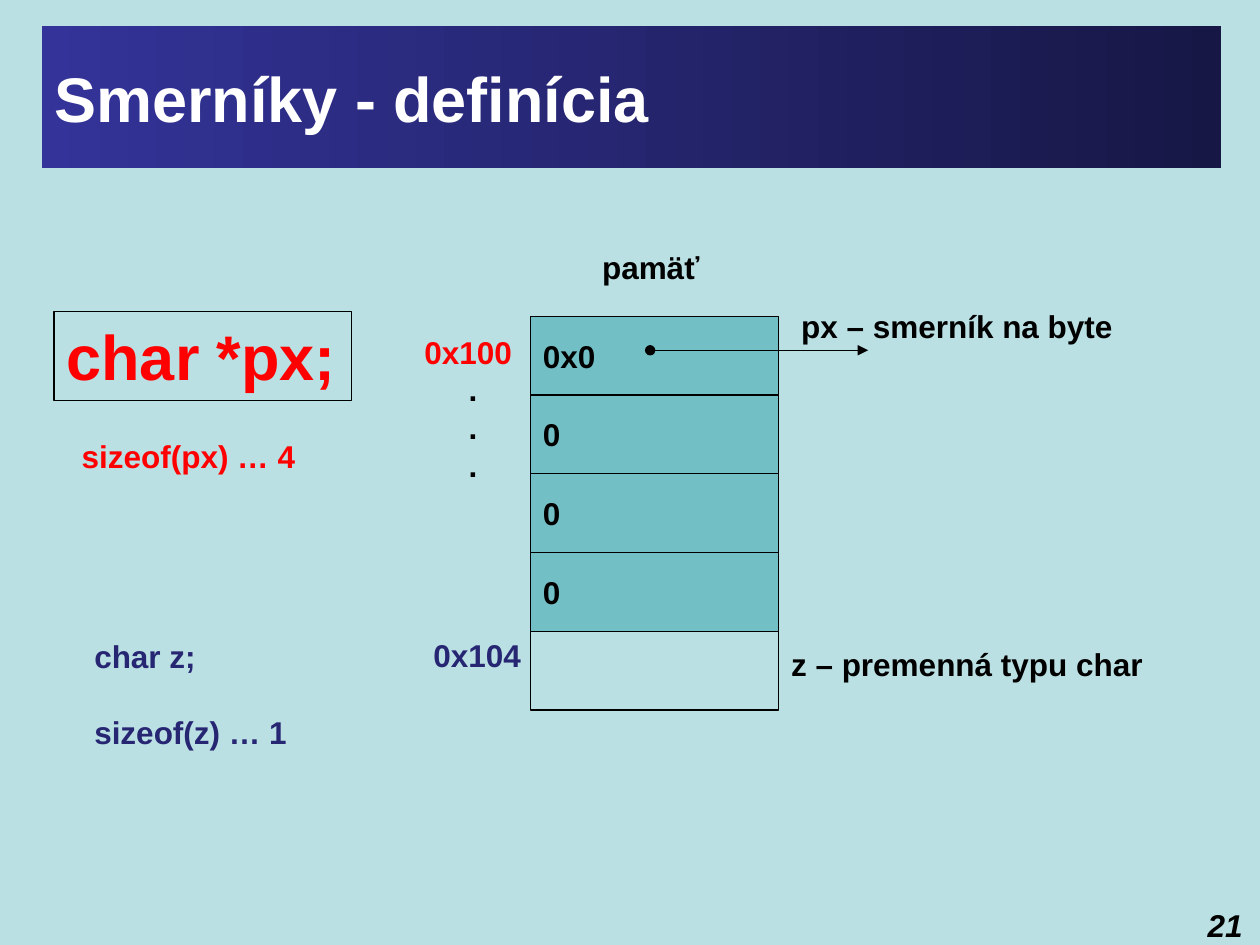
from dataclasses import dataclass

from lxml import etree
from pptx import Presentation, util as u
from pptx.dml.color import RGBColor
from pptx.enum import shapes, text
from pptx.oxml import ns

BLACK = RGBColor(0x00, 0x00, 0x00)
WHITE = RGBColor(0xFF, 0xFF, 0xFF)
RED = RGBColor(0xFF, 0x00, 0x00)
NAVY = RGBColor(0x26, 0x26, 0x73)
BAR_LEFT = RGBColor(0x33, 0x33, 0x99)
BAR_RIGHT = RGBColor(0x17, 0x17, 0x46)
PALE = RGBColor(0xBB, 0xE0, 0xE3)
TEAL = RGBColor(0x72, 0xBF, 0xC5)

CELL_LEFT, CELL_TOP, CELL_W, CELL_H = 4.21, 2.51, 1.97, 0.625
LINE_PT = 21.7  # height of one 18 pt line


@dataclass
class Line:
    text: str
    color: RGBColor = BLACK
    indent: float = 0
    skip: int = 0  # lines left free above


@dataclass
class Label:
    left: float
    top: float
    width: float
    height: float
    lines: list[Line]
    wrap: bool = False


def format_run(r, *, size: float = 18, color: RGBColor = BLACK, italic: bool = False) -> None:
    r.font.name = "Arial"
    r.font.size = u.Pt(size)
    r.font.bold = True
    r.font.italic = italic
    r.font.color.rgb = color


def add_line(p, line: Line, *, size: float = 18, italic: bool = False,
             align=text.PP_ALIGN.LEFT) -> None:
    p.alignment = align
    if line.skip:
        p.space_before = u.Pt(line.skip * LINE_PT)
    if line.indent:
        p._p.get_or_add_pPr().set("marL", str(u.Inches(line.indent)))
    r = p.add_run()
    r.text = line.text
    format_run(r, size=size, color=line.color, italic=italic)


def add_label(s, label: Label, **fmt):
    sp = s.shapes.add_textbox(u.Inches(label.left), u.Inches(label.top),
                              u.Inches(label.width), u.Inches(label.height))
    tf = sp.text_frame
    tf.word_wrap = label.wrap
    for i, line in enumerate(label.lines):
        add_line(tf.add_paragraph() if i else tf.paragraphs[0], line, **fmt)
    return sp


def outline(sp) -> None:
    sp.line.color.rgb = BLACK
    sp.line.width = u.Pt(0.75)


def add_cell(s, row: int, value: str, fill: RGBColor) -> None:
    sp = s.shapes.add_shape(shapes.MSO_SHAPE.RECTANGLE, u.Inches(CELL_LEFT),
                            u.Inches(CELL_TOP + row * CELL_H),
                            u.Inches(CELL_W), u.Inches(CELL_H))
    sp.shadow.inherit = False
    sp.fill.solid()
    sp.fill.fore_color.rgb = fill
    outline(sp)
    tf = sp.text_frame
    tf.vertical_anchor = text.MSO_ANCHOR.MIDDLE
    if value:
        add_line(tf.paragraphs[0], Line(value))


def add_pointer(s, x1: float, x2: float, y: float) -> None:
    sp = s.shapes.add_connector(shapes.MSO_CONNECTOR.STRAIGHT, u.Inches(x1), u.Inches(y),
                                u.Inches(x2), u.Inches(y))
    outline(sp)
    ln = sp.line._get_or_add_ln()
    for tag, kind in (("a:headEnd", "oval"), ("a:tailEnd", "triangle")):
        etree.SubElement(ln, ns.qn(tag), type=kind, w="med", len="med")
    etree.SubElement(sp._element.spPr, ns.qn("a:effectLst"))


prs = Presentation()
prs.slide_width, prs.slide_height = u.Inches(10), u.Inches(7.5)
s = prs.slides.add_slide(prs.slide_layouts[5])
s.background.fill.solid()
s.background.fill.fore_color.rgb = PALE

# Title bar
title = s.shapes.title
title.left, title.top = u.Inches(0.33), u.Inches(0.21)
title.width, title.height = u.Inches(9.36), u.Inches(1.12)
title.fill.gradient()
title.fill.gradient_angle = 0
for stop, color, position in zip(title.fill.gradient_stops, (BAR_LEFT, BAR_RIGHT), (0, 1)):
    stop.color.rgb = color
    stop.position = position
title.text_frame.vertical_anchor = text.MSO_ANCHOR.MIDDLE
add_line(title.text_frame.paragraphs[0], Line("Smerníky - definícia", WHITE), size=36)

# Memory cells: four bytes of px, then z
for row, value in enumerate(["0x0", "0", "0", "0", ""]):
    add_cell(s, row, value, TEAL if value else PALE)
add_pointer(s, 5.16, 6.89, 2.78)

# Labels around the memory
dot = Line(".", indent=0.35)
for label in (
    Label(4.68, 1.92, 0.98, 0.4, [Line("pamäť")]),
    Label(6.26, 2.39, 2.7, 0.4, [Line("px – smerník na byte")]),
    Label(6.18, 5.07, 3.02, 0.4, [Line("z – premenná typu char")]),
    Label(3.27, 2.59, 1.02, 3.13, [Line("0x100", RED), dot, dot, dot,
                                   Line("0x104", NAVY, indent=0.07, skip=4)], wrap=True),
    Label(0.55, 3.42, 1.91, 0.4, [Line("sizeof(px) … 4", RED)]),
    Label(0.65, 5.01, 1.74, 1.01, [Line("char z;", NAVY),
                                   Line("sizeof(z) … 1", NAVY, skip=1)]),
):
    add_label(s, label)

# Framed declaration and page number
outline(add_label(s, Label(0.43, 2.47, 2.36, 0.71, [Line("char *px;", RED)]), size=36))
add_label(s, Label(9.43, 7.14, 0.53, 0.31, [Line("21")], wrap=True),
          italic=True, align=text.PP_ALIGN.RIGHT)

prs.save("out.pptx")
